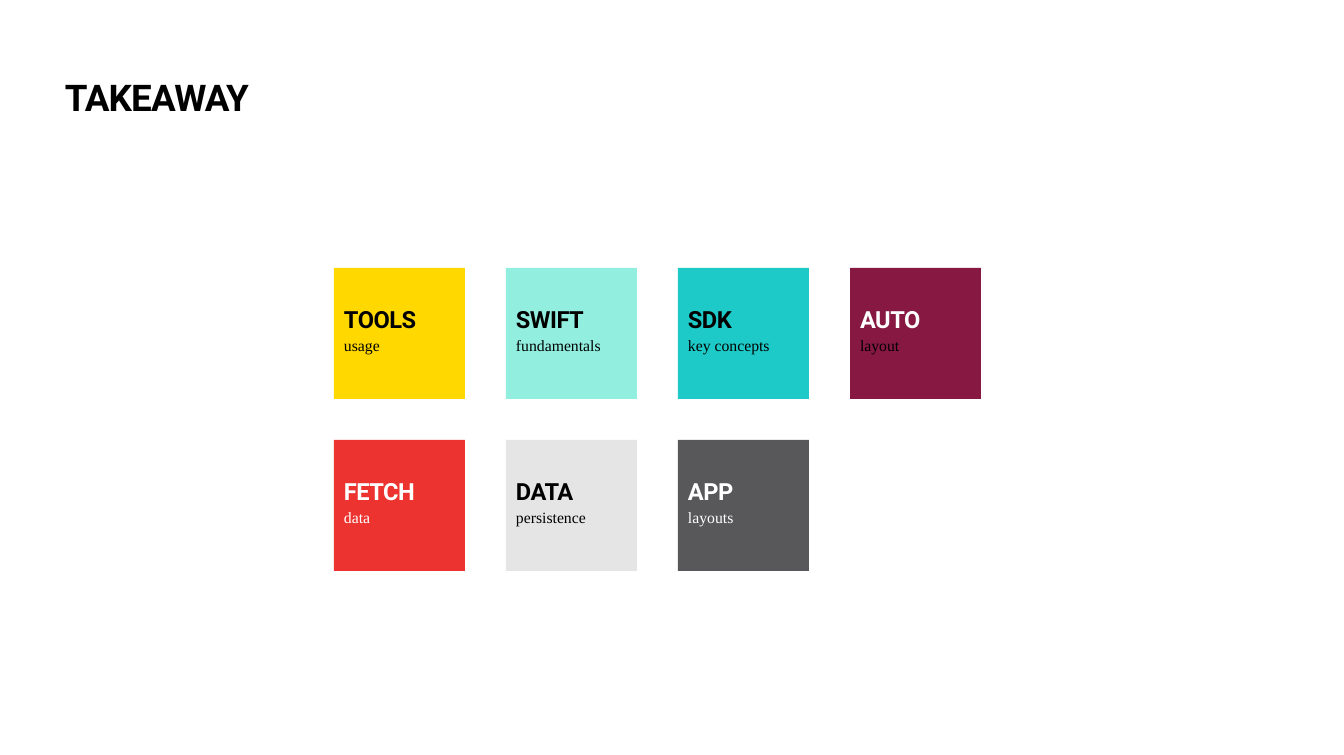
from pptx import Presentation
from pptx.dml.color import RGBColor
from pptx.enum.shapes import MSO_SHAPE
from pptx.enum.text import MSO_ANCHOR, MSO_AUTO_SIZE, PP_ALIGN
from pptx.util import Emu, Pt

EMU_PER_PX = 914400 / 94.5
SLIDE_SIZE = (1344, 755)
TITLE_BOX = (65, 77, 798, 44)
GRID_BOX = (334, 268, 647, 303)
TILE_SIZE, TILE_GAP, TILE_INSET = 131, 41, 10
COLUMNS = 4
HEADING_FONT, BODY_FONT = "Roboto", "Times New Roman"

COLORS = {
    "black": "000000",
    "white": "FFFFFF",
    "yellow": "FFD800",
    "mint": "92EFE0",
    "teal": "1ECAC7",
    "plum": "861842",
    "red": "ED332F",
    "light gray": "E5E5E5",
    "dark gray": "58585B",
}

# Heading, detail, fill, heading color, detail color
TOPICS = [
    ("TOOLS", "usage", "yellow", "black", "black"),
    ("SWIFT", "fundamentals", "mint", "black", "black"),
    ("SDK", "key concepts", "teal", "black", "black"),
    ("AUTO", "layout", "plum", "white", "black"),
    ("FETCH", "data", "red", "white", "white"),
    ("DATA", "persistence", "light gray", "black", "black"),
    ("APP", "layouts", "dark gray", "white", "white"),
]


def px(length):
    return Emu(round(length * EMU_PER_PX))


def rgb(name):
    return RGBColor.from_string(COLORS[name])


def prepare_frame(frame, inset, anchor):
    frame.word_wrap = True
    frame.auto_size = MSO_AUTO_SIZE.NONE
    frame.vertical_anchor = anchor
    frame.margin_left = frame.margin_right = px(inset)
    frame.margin_top = frame.margin_bottom = px(inset)


def write_line(paragraph, text, size, line_height, font, color, bold=False, tracking=0):
    """Fill a paragraph with one run; tracking is in points."""
    paragraph.alignment = PP_ALIGN.LEFT
    paragraph.line_spacing = Pt(line_height)
    paragraph.space_before = paragraph.space_after = Pt(0)
    run = paragraph.add_run()
    run.text = text
    run.font.name = font
    run.font.size = Pt(size)
    run.font.bold = bold
    run.font.color.rgb = rgb(color)
    run._r.get_or_add_rPr().set("spc", str(round(tracking * 100)))


def place_title(slide, box, text):
    title = slide.shapes.title
    title.left, title.top, title.width, title.height = map(px, box)
    prepare_frame(title.text_frame, 0, MSO_ANCHOR.TOP)
    write_line(title.text_frame.paragraphs[0], text, 28, 32,
               HEADING_FONT, "black", bold=True, tracking=-0.6)


def add_tile(slide, box, topic):
    heading, detail, fill, heading_color, detail_color = topic
    tile = slide.shapes.add_shape(MSO_SHAPE.RECTANGLE, *map(px, box))
    tile.shadow.inherit = False
    tile.fill.solid()
    tile.fill.fore_color.rgb = rgb(fill)
    tile.line.fill.background()
    frame = tile.text_frame
    prepare_frame(frame, TILE_INSET, MSO_ANCHOR.MIDDLE)
    write_line(frame.paragraphs[0], heading, 18, 16,
               HEADING_FONT, heading_color, bold=True, tracking=-0.4)
    write_line(frame.add_paragraph(), detail, 12, 16, BODY_FONT, detail_color)


def add_topic_grid(slide, box, topics):
    left, top, _, _ = box
    pitch = TILE_SIZE + TILE_GAP
    for index, topic in enumerate(topics):
        row, column = divmod(index, COLUMNS)
        tile_box = (left + column * pitch, top + row * pitch, TILE_SIZE, TILE_SIZE)
        add_tile(slide, tile_box, topic)


def main():
    presentation = Presentation()
    presentation.slide_width, presentation.slide_height = map(px, SLIDE_SIZE)
    slide = presentation.slides.add_slide(presentation.slide_layouts[5])
    slide.background.fill.solid()
    slide.background.fill.fore_color.rgb = rgb("white")
    place_title(slide, TITLE_BOX, "TAKEAWAY")
    add_topic_grid(slide, GRID_BOX, TOPICS)
    presentation.save("out.pptx")


if __name__ == "__main__":
    main()
